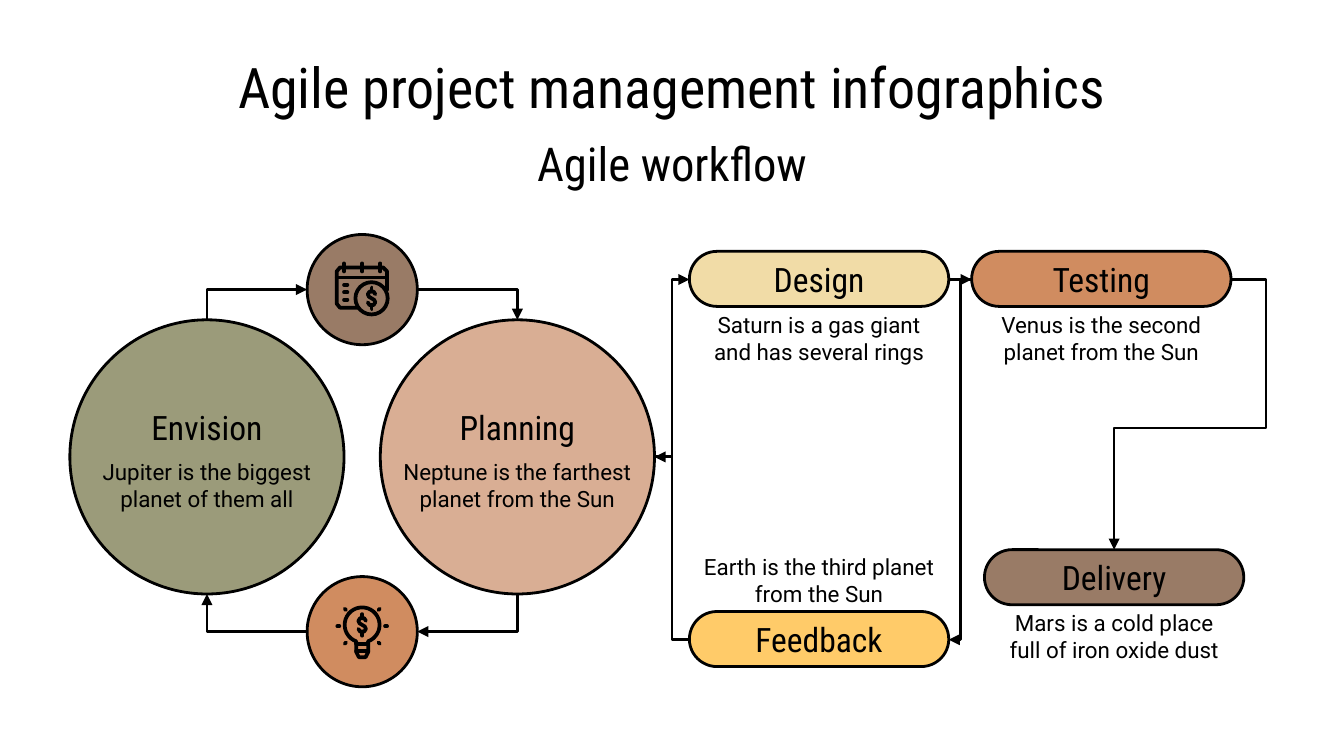
from dataclasses import dataclass
from math import cos, radians, sin

from lxml.etree import SubElement
from pptx import Presentation
from pptx.dml.color import RGBColor
from pptx.enum.shapes import MSO_CONNECTOR as Connector, MSO_SHAPE as Shape
from pptx.enum.text import MSO_ANCHOR as Anchor, PP_ALIGN as Align
from pptx.oxml.ns import qn
from pptx.util import Inches, Pt


@dataclass(frozen=True)
class Theme:
    """Colours, fonts, type sizes and line widths."""
    ink: str = "000000"
    olive: str = "9B9B7A"
    blush: str = "D9AE94"
    copper: str = "D08C60"
    sand: str = "F1DCA7"
    amber: str = "FFCB69"
    umber: str = "997B66"
    heading: str = "Roboto Condensed"
    body: str = "Roboto"
    title_size: float = 30
    subtitle_size: float = 25
    label_size: float = 18
    body_size: float = 12
    outline: float = 1.5
    icon_stroke: float = 2


THEME = Theme()
CELL = Inches(0.1)
COLUMNS, ROWS = 100, 56.25
CARD_WIDTH, LABEL_HEIGHT, NOTE_HEIGHT = 19.3, 4.1, 4.5
NOTE_GAP = 0.07
RING, BADGE = 20.4, 8.2
RING_TOP, RING_LEFT, RING_STEP = 23.8, 5.2, 23.1
BADGE_LEFT, BADGE_TOPS = 22.85, (17.45, 42.9)


def grid(*cells):
    """Turn grid cells into lengths."""
    return [round(cell * CELL) for cell in cells]


def assign(target, values):
    """Set attributes from a dict of format values."""
    for name, value in values.items():
        setattr(target, name, value)


def write(shape, text, font, size, anchor=Anchor.MIDDLE):
    """Put one centred paragraph in a shape."""
    frame = shape.text_frame
    margins = {f"margin_{side}": CELL for side in ("left", "top", "right", "bottom")}
    assign(frame, {"text": text, "word_wrap": True, "vertical_anchor": anchor, **margins})
    paragraph = frame.paragraphs[0]
    paragraph.alignment = Align.CENTER
    assign(paragraph.font, {"name": font, "size": Pt(size), "bold": False})
    paragraph.font.color.rgb = RGBColor.from_string(THEME.ink)


def add_text(slide, box, text, font, size, anchor=Anchor.MIDDLE):
    """Add a text box."""
    write(slide.shapes.add_textbox(*grid(*box)), text, font, size, anchor)


def draw_line(shape, width):
    """Give a shape or connector an ink line."""
    shape.line.width = Pt(width)
    shape.line.color.rgb = RGBColor.from_string(THEME.ink)


def add_block(slide, kind, box, fill, width=THEME.outline):
    """Add a filled and outlined preset shape."""
    shape = slide.shapes.add_shape(kind, *grid(*box))
    shape.shadow.inherit = False
    shape.fill.solid()
    shape.fill.fore_color.rgb = RGBColor.from_string(fill)
    draw_line(shape, width)
    return shape


def add_ring(slide, index, fill, label, note):
    """Add a large circle with a heading and a note."""
    left = RING_LEFT + index * RING_STEP
    add_block(slide, Shape.OVAL, (left, RING_TOP, RING, RING), fill)
    inset = left + (RING - CARD_WIDTH) / 2
    add_text(slide, (inset, 29.7, CARD_WIDTH, LABEL_HEIGHT), label, THEME.heading, THEME.label_size)
    add_text(slide, (inset, 29.7 + LABEL_HEIGHT + NOTE_GAP, CARD_WIDTH, NOTE_HEIGHT), note,
             THEME.body, THEME.body_size)


def add_card(slide, left, top, fill, label, note, note_above=False):
    """Add a pill with a note below or above it."""
    pill = add_block(slide, Shape.ROUNDED_RECTANGLE, (left, top, CARD_WIDTH, LABEL_HEIGHT), fill)
    pill.adjustments[0] = 0.5
    write(pill, label, THEME.heading, THEME.label_size)
    note_top = top - NOTE_HEIGHT - NOTE_GAP if note_above else top + LABEL_HEIGHT + NOTE_GAP
    add_text(slide, (left, note_top, CARD_WIDTH, NOTE_HEIGHT), note, THEME.body, THEME.body_size)


def add_link(slide, start, end, preset, arrow=None, adjustments=(), width=THEME.outline):
    """Add a connector, with an arrow at its headEnd or tailEnd."""
    link = slide.shapes.add_connector(Connector.ELBOW, *grid(*start, *end))
    draw_line(link, width)
    properties = link.element.spPr
    geometry = properties.find(qn("a:prstGeom"))
    geometry.set("prst", preset)
    for number, share in enumerate(adjustments, 1):
        guide = SubElement(geometry.find(qn("a:avLst")), qn("a:gd"))
        guide.set("name", f"adj{number}")
        guide.set("fmla", f"val {round(share * 100000)}")
    line = properties.find(qn("a:ln"))
    if arrow:
        SubElement(line, qn(f"a:{arrow}")).set("type", "triangle")
    else:
        line.set("cap", "rnd")
    SubElement(properties, qn("a:effectLst"))


def add_stroke(slide, points):
    """Draw an open icon stroke through points."""
    if len(points) == 2:
        add_link(slide, *points, "line", width=THEME.icon_stroke)
        return
    start, *others = [grid(*point) for point in points]
    builder = slide.shapes.build_freeform(*start, scale=1.0)
    builder.add_line_segments(others, close=False)
    shape = builder.convert_to_shape()
    shape.shadow.inherit = False
    shape.fill.background()
    draw_line(shape, THEME.icon_stroke)
    shape.element.spPr.find(qn("a:ln")).set("cap", "rnd")


def polar(x, y, radius, degrees):
    """Find a point on a circle."""
    return x + radius * cos(radians(degrees)), y + radius * sin(radians(degrees))


def add_dollar(slide, x, y):
    """Draw a dollar sign centred on a point."""
    curve = [(0.28, -0.3), (0.15, -0.5), (-0.15, -0.5), (-0.28, -0.3), (-0.2, -0.12),
             (0.2, 0.12), (0.28, 0.3), (0.15, 0.5), (-0.15, 0.5), (-0.28, 0.3)]
    add_stroke(slide, [(x + dx, y + dy) for dx, dy in curve])
    for sign in (-1, 1):
        add_stroke(slide, [(x, y + sign * 0.5), (x, y + sign * 0.8)])


def add_calendar(slide):
    """Draw a calendar with a coin."""
    add_stroke(slide, [(26.7, 22.9), (25.3, 22.9), (25.05, 22.6), (25.05, 20.2), (25.3, 19.9),
                       (28.5, 19.9), (28.8, 20.2), (28.8, 21.6)])
    add_stroke(slide, [(25.05, 20.65), (28.8, 20.65)])
    for x in (25.6, 26.95, 28.3):
        add_stroke(slide, [(x, 19.6), (x, 20.2)])
    for y in (21.2, 21.75, 22.3):
        add_stroke(slide, [(25.6, y), (25.85, y)])
    add_block(slide, Shape.OVAL, (26.45, 21, 2.4, 2.4), THEME.umber, THEME.icon_stroke)
    add_dollar(slide, 27.65, 22.2)


def add_bulb(slide):
    """Draw a shining light bulb."""
    x, y = 26.95, 46.5
    glass = [polar(x, y, 1.3, degrees) for degrees in range(110, 431, 10)]
    add_stroke(slide, [(x - 0.45, 47.9), *glass, (x + 0.45, 47.9)])
    add_stroke(slide, [(x - 0.45, 47.9), (x - 0.45, 48.5), (x - 0.25, 48.9), (x + 0.25, 48.9),
                       (x + 0.45, 48.5), (x + 0.45, 47.9)])
    for row in (47.9, 48.45):
        add_stroke(slide, [(x - 0.45, row), (x + 0.45, row)])
    for degrees in (-45, 0, 45, 135, 180, 225):
        add_stroke(slide, [polar(x, 46.6, radius, degrees) for radius in (1.7, 1.85)])
    add_dollar(slide, x, y)


def add_links(slide):
    """Connect the steps of the workflow."""
    ring_edge, card_left, card_right = 48.7, 51.3, 70.6
    top, bottom, next_left = 20.8, 47.6, 72.3
    add_link(slide, (ring_edge, 34), (card_left, top), "bentConnector3", "tailEnd")
    add_link(slide, (ring_edge, 34), (card_left, bottom), "bentConnector3", "headEnd")
    add_link(slide, (card_right, bottom), (next_left, top), "bentConnector3", "headEnd")
    add_link(slide, (card_right, top), (next_left, top), "bentConnector3", "tailEnd")
    add_link(slide, (91.6, top), (82.9, 40.9), "bentConnector4", "tailEnd", (-0.3, 0.55))
    for badge_top, ring_row, arrows in zip(
            BADGE_TOPS, (RING_TOP, RING_TOP + RING), (("headEnd", "tailEnd"), ("tailEnd", "headEnd"))):
        row = badge_top + BADGE / 2
        for index, arrow in enumerate(arrows):
            start = BADGE_LEFT + index * BADGE, row
            end = RING_LEFT + RING / 2 + index * RING_STEP, ring_row
            add_link(slide, start, end, "bentConnector2", arrow)


def main():
    """Build the workflow slide."""
    presentation = Presentation()
    width, height = grid(COLUMNS, ROWS)
    assign(presentation, {"slide_width": width, "slide_height": height})
    slide = presentation.slides.add_slide(presentation.slide_layouts[5])
    title = slide.shapes.title
    assign(title, dict(zip(("left", "top", "width", "height"), grid(5, 2.9, 90, 6.3))))
    write(title, "Agile project management infographics", THEME.heading, THEME.title_size, Anchor.TOP)
    add_text(slide, (13.1, 9.05, 73.8, 6.2), "Agile workflow",
             THEME.heading, THEME.subtitle_size, Anchor.TOP)
    add_ring(slide, 0, THEME.olive, "Envision", "Jupiter is the biggest planet of them all")
    add_ring(slide, 1, THEME.blush, "Planning", "Neptune is the farthest planet from the Sun")
    add_card(slide, 72.3, 18.7, THEME.copper, "Testing", "Venus is the second planet from the Sun")
    add_card(slide, 51.3, 18.7, THEME.sand, "Design", "Saturn is a gas giant and has several rings")
    add_card(slide, 51.3, 45.5, THEME.amber, "Feedback", "Earth is the third planet from the Sun", True)
    add_card(slide, 73.25, 40.9, THEME.umber, "Delivery", "Mars is a cold place full of iron oxide dust")
    for top, fill in zip(BADGE_TOPS, (THEME.umber, THEME.copper)):
        add_block(slide, Shape.OVAL, (BADGE_LEFT, top, BADGE, BADGE), fill)
    add_links(slide)
    add_calendar(slide)
    add_bulb(slide)
    presentation.save("out.pptx")


if __name__ == "__main__":
    main()
